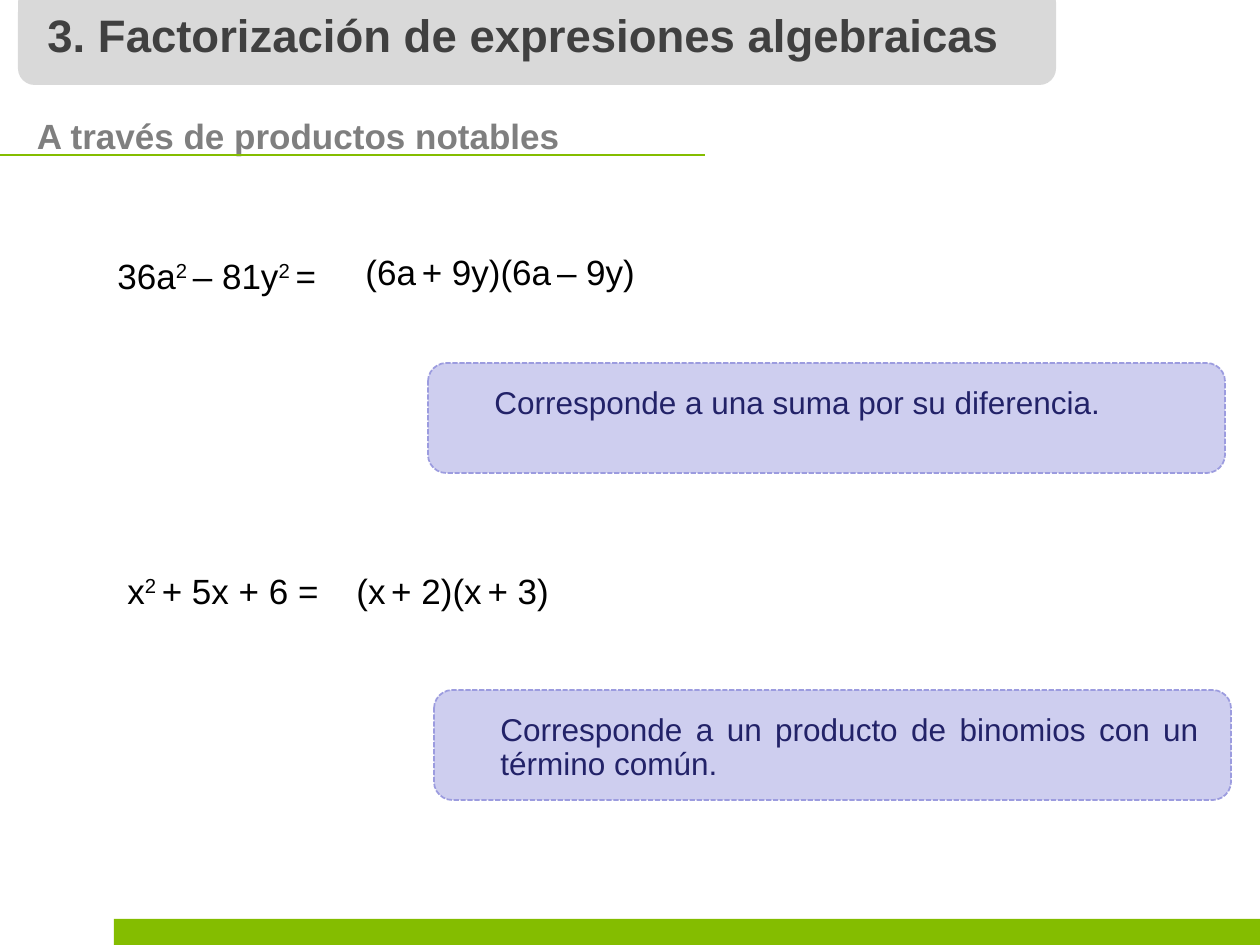
from dataclasses import dataclass

from pptx import Presentation
from pptx.dml.color import RGBColor
from pptx.enum.dml import MSO_LINE
from pptx.enum.shapes import MSO_CONNECTOR, MSO_SHAPE
from pptx.enum.text import MSO_AUTO_SIZE, PP_ALIGN
from pptx.oxml.ns import qn
from pptx.util import Emu, Pt
from lxml import etree

PX_PER_INCH = 126
RECTANGLE = MSO_SHAPE.RECTANGLE
ROUNDED = MSO_SHAPE.ROUNDED_RECTANGLE
STRAIGHT = MSO_CONNECTOR.STRAIGHT
DASHED = MSO_LINE.SQUARE_DOT
GROW = MSO_AUTO_SIZE.SHAPE_TO_FIT_TEXT
JUSTIFY = PP_ALIGN.JUSTIFY

GREEN = "84BD00"
FONT = "Arial"


@dataclass
class Box:
    left: int
    top: int
    width: int
    height: int


@dataclass
class Formula:
    box: Box
    text: str  # parts between ^ marks are raised


@dataclass
class Note:
    left: int
    top: int
    text_height: int
    text: str


FORMULAS = [
    Formula(Box(105, 248, 287, 54), "36a^2 ^– 81y^2 ^="),
    Formula(Box(353, 244, 437, 54), "(6a^ ^+ 9y)(6a^ ^– 9y)"),
    Formula(Box(115, 563, 287, 54), "x^2 ^+ 5x + 6 ="),
    Formula(Box(344, 563, 277, 54), "(x^ ^+ 2)(x^ ^+ 3)"),
]
NOTES = [
    Note(434, 690, 82, "Corresponde a un producto de binomios con un término común."),
    Note(428, 363, 47, "Corresponde a una suma por su diferencia."),
]


def px(length: int) -> Emu:
    return Emu(round(length * 914400 / PX_PER_INCH))


def color(value: str) -> RGBColor:
    return RGBColor.from_string(value)


def place(box: Box) -> tuple:
    return px(box.left), px(box.top), px(box.width), px(box.height)


def add_panel(slide, kind, box: Box, fill: str, outline: str = ""):
    panel = slide.shapes.add_shape(kind, *place(box))
    panel.shadow.inherit = False
    panel.fill.solid()
    panel.fill.fore_color.rgb = color(fill)
    if outline:
        panel.line.color.rgb = color(outline)
        panel.line.width = Pt(1)
        panel.line.dash_style = DASHED
    else:
        panel.line.fill.background()


def add_text(slide, box: Box, text: str, size: int, ink: str,
             bold: bool = False, wrap: bool = True):
    text_box = slide.shapes.add_textbox(*place(box))
    frame = text_box.text_frame
    frame.word_wrap = wrap
    frame.auto_size = GROW
    para = frame.paragraphs[0]
    for index, part in enumerate(text.split("^")):
        span = para.add_run()
        span.text = part
        if index % 2:
            span.font._element.set("baseline", "30000")
    para.font.name = FONT
    para.font.size = Pt(size)
    para.font.bold = bold
    para.font.color.rgb = color(ink)
    return frame


def add_rule(slide, left: int, right: int, y: int):
    rule = slide.shapes.add_connector(STRAIGHT, px(left), px(y), px(right), px(y))
    rule.line.color.rgb = color(GREEN)
    rule.line.width = Pt(0.75)
    etree.SubElement(rule._element.spPr, qn("a:effectLst"))


def add_note(slide, note: Note):
    add_panel(slide, ROUNDED, Box(note.left, note.top, 797, 110), "CECEEF", "9C9CDF")
    text_area = Box(note.left + 54, note.top + 18, 723, note.text_height)
    para = add_text(slide, text_area, note.text, 18, "222268").paragraphs[0]
    para.alignment = JUSTIFY
    para.line_spacing = 0.9


def main():
    deck = Presentation()
    deck.slide_width, deck.slide_height = px(1260), px(945)
    page = deck.slides.add_slide(deck.slide_layouts[6])

    # Footer band
    add_panel(page, RECTANGLE, Box(114, 919, 1146, 26), GREEN)

    # Subtitle with its rule
    subtitle = add_text(page, Box(5, 108, 1131, 55), "A través de productos notables",
                        20, "7F7F7F", bold=True)
    subtitle.margin_left = px(32)
    add_rule(page, 0, 705, 155)

    # Worked examples and their explanations
    for formula in FORMULAS:
        add_text(page, formula.box, formula.text, 20, "000000")
    for note in NOTES:
        add_note(page, note)

    # Title
    add_panel(page, ROUNDED, Box(18, -14, 1038, 99), "D9D9D9")
    add_text(page, Box(35, 1, 988, 68), "3. Factorización de expresiones algebraicas",
             26, "404040", bold=True, wrap=False)

    deck.save("out.pptx")


if __name__ == "__main__":
    main()
